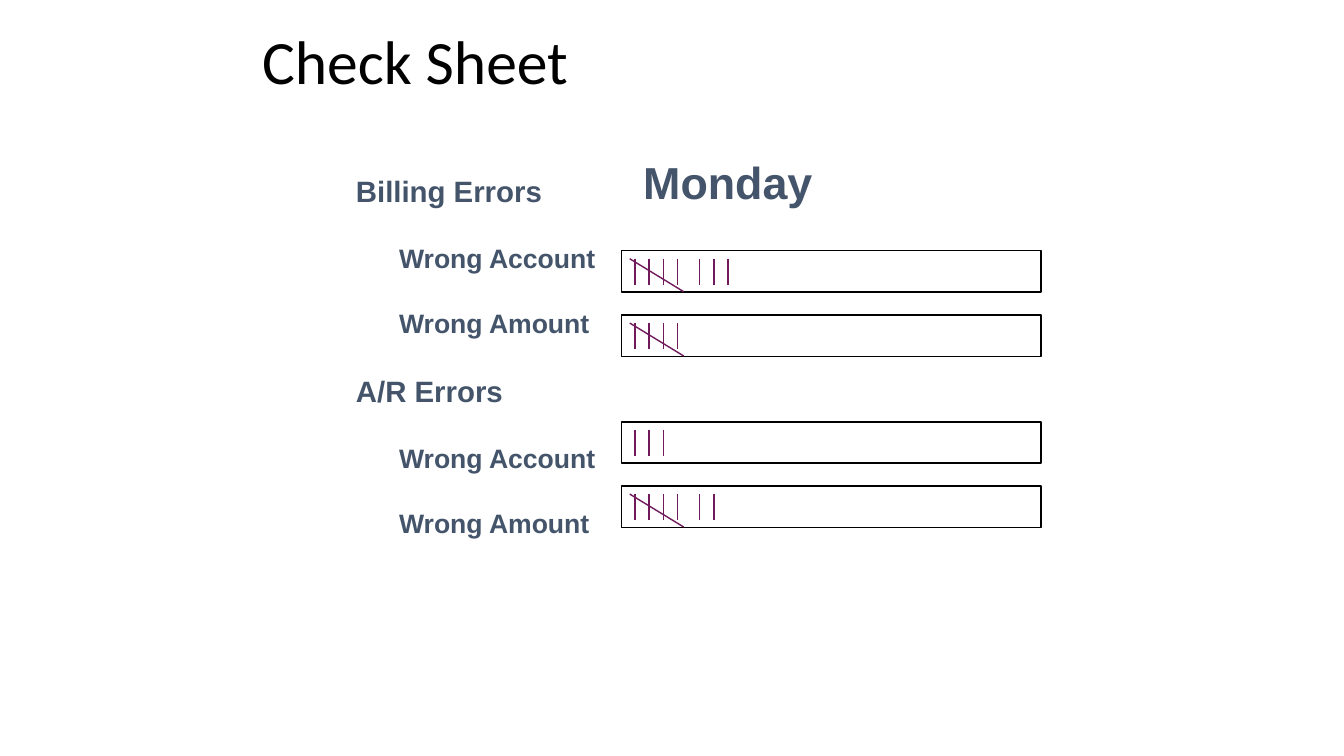
from pptx import Presentation
from pptx.dml.color import RGBColor
from pptx.enum.shapes import MSO_CONNECTOR, MSO_SHAPE
from pptx.enum.text import MSO_ANCHOR, MSO_AUTO_SIZE, PP_ALIGN
from pptx.oxml.ns import qn
from pptx.util import Cm, Pt
from lxml.etree import SubElement

BLACK = RGBColor(0x00, 0x00, 0x00)
WHITE = RGBColor(0xFF, 0xFF, 0xFF)
SLATE = RGBColor(0x44, 0x54, 0x6A)
PLUM = RGBColor(0x70, 0x1A, 0x5C)

HEAD = {"name": "Arial", "size": Pt(21), "bold": True}
ITEM = {**HEAD, "size": Pt(19)}
DAY = {**HEAD, "size": Pt(32)}
TITLE = {"name": "Calibri", "size": Pt(44), "bold": False}

ERRORS = [
    ("Billing Errors", [("Wrong Account", 6.32, 8), ("Wrong Amount", 7.94, 5)]),
    ("A/R Errors", [("Wrong Account", 10.63, 3), ("Wrong Amount", 12.25, 7)]),
]


def style(font, form, color):
    for key, value in form.items():
        setattr(font, key, value)
    font.color.rgb = color


def add_title(slide, text):
    title = slide.shapes.title
    place = {"left": Cm(6.35), "top": Cm(0.56), "width": Cm(21.59), "height": Cm(2.03)}
    for key, value in place.items():
        setattr(title, key, value)
    frame = title.text_frame
    frame.text = text
    frame.vertical_anchor = MSO_ANCHOR.BOTTOM
    frame.auto_size = MSO_AUTO_SIZE.NONE
    para = frame.paragraphs[0]
    para.alignment = PP_ALIGN.LEFT
    para.line_spacing = 0.9
    style(para.font, TITLE, BLACK)


def add_text(slide, box, lines):
    frame = slide.shapes.add_textbox(*map(Cm, box)).text_frame
    insets = {"margin_left": 0.23, "margin_right": 0.23, "margin_top": 0.1, "margin_bottom": 0.1}
    for key, value in insets.items():
        setattr(frame, key, Cm(value))
    frame.word_wrap = True
    for i, (text, form, level) in enumerate(lines):
        para = frame.add_paragraph() if i else frame.paragraphs[0]
        para.text = text
        if i:
            para.space_before = Pt(24)
        if level:
            para.level = level
            para._p.get_or_add_pPr().set("marL", str(Cm(1.09)))
        style(para.font, form, SLATE)


def add_box(slide, top):
    box = slide.shapes.add_shape(
        MSO_SHAPE.RECTANGLE, Cm(15.67), Cm(top), Cm(10.57), Cm(1.04))
    box.shadow.inherit = False
    box.fill.solid()
    box.fill.fore_color.rgb = WHITE
    box.line.color.rgb = BLACK
    box.line.width = Pt(1)


def add_line(slide, *ends):
    line = slide.shapes.add_connector(MSO_CONNECTOR.STRAIGHT, *map(Cm, ends))
    line.line.color.rgb = PLUM
    line.line.width = Pt(1)
    SubElement(line._element.spPr, qn("a:effectLst"))


def add_tally(slide, top, count):
    top += 0.2
    for i in range(count):
        group, mark = divmod(i, 5)
        left = 16 + group * 1.63
        if mark == 4:
            add_line(slide, left - 0.13, top, left + 1.23, top + 0.83)
        else:
            x = left + mark * 0.36
            add_line(slide, x, top, x, top + 0.65)


def main():
    deck = Presentation()
    deck.slide_width, deck.slide_height = Cm(33.87), Cm(19.05)
    slide = deck.slides.add_slide(deck.slide_layouts[5])
    add_title(slide, "Check Sheet")
    lines = []
    for head, items in ERRORS:
        lines.append((head, HEAD, 0))
        lines += [(name, ITEM, 1) for name, _, _ in items]
    add_text(slide, (8.74, 4.26, 6.73, 11.5), lines)
    add_text(slide, (15.98, 3.81, 4.8, 1.6), [("Monday", DAY, 0)])
    for _, items in ERRORS:
        for _, top, count in items:
            add_box(slide, top)
            add_tally(slide, top, count)
    deck.save("out.pptx")


if __name__ == "__main__":
    main()
